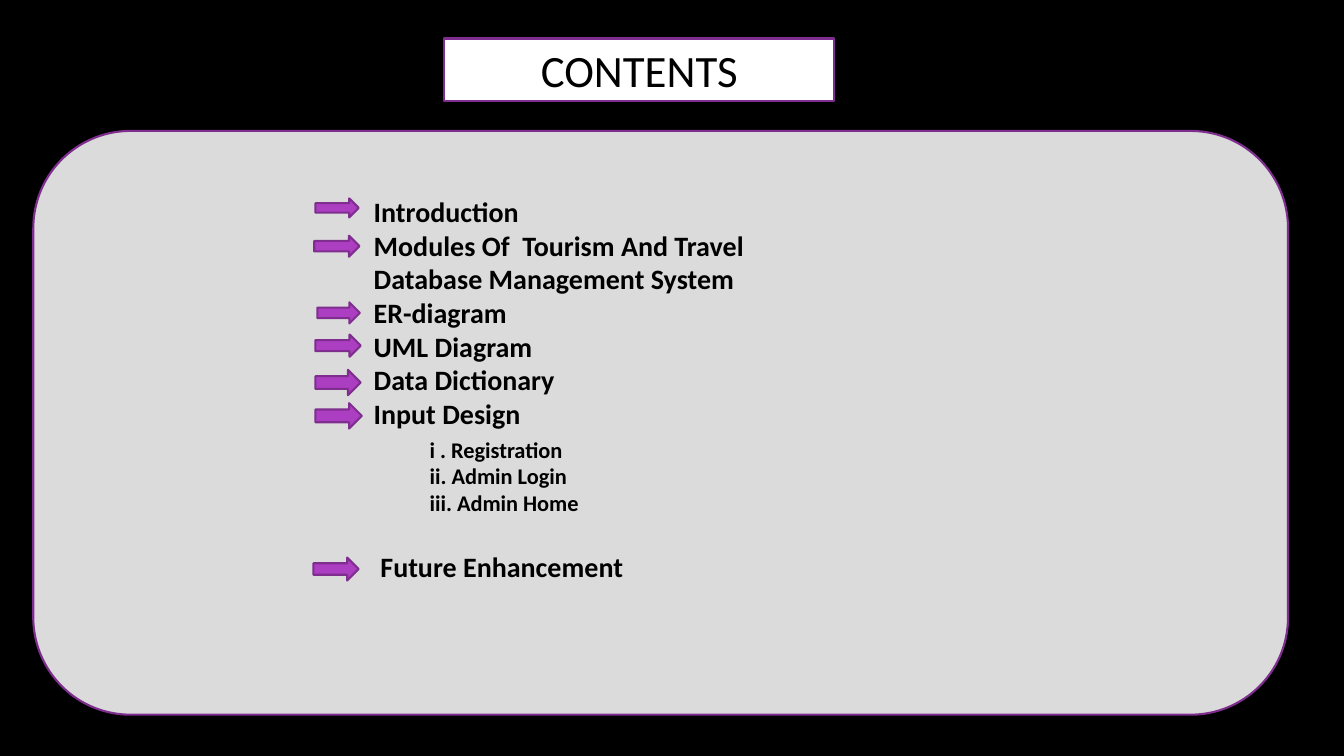
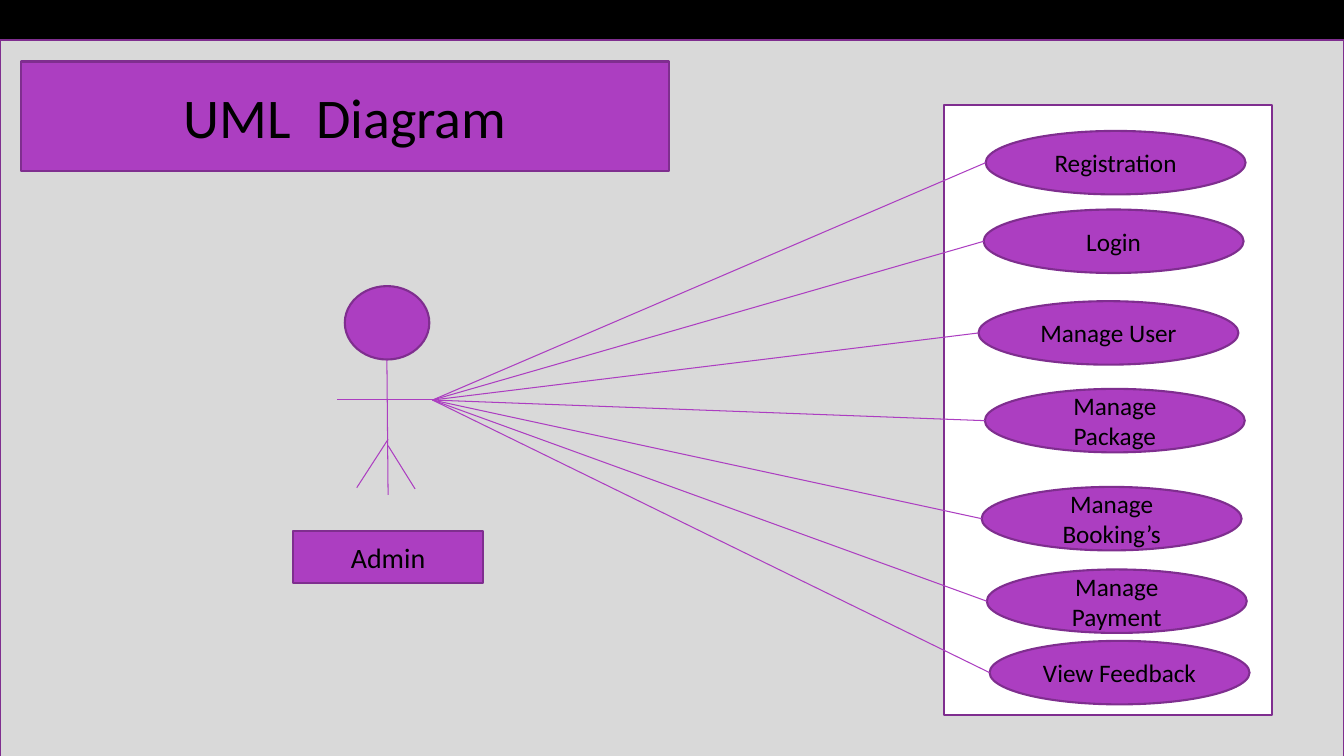
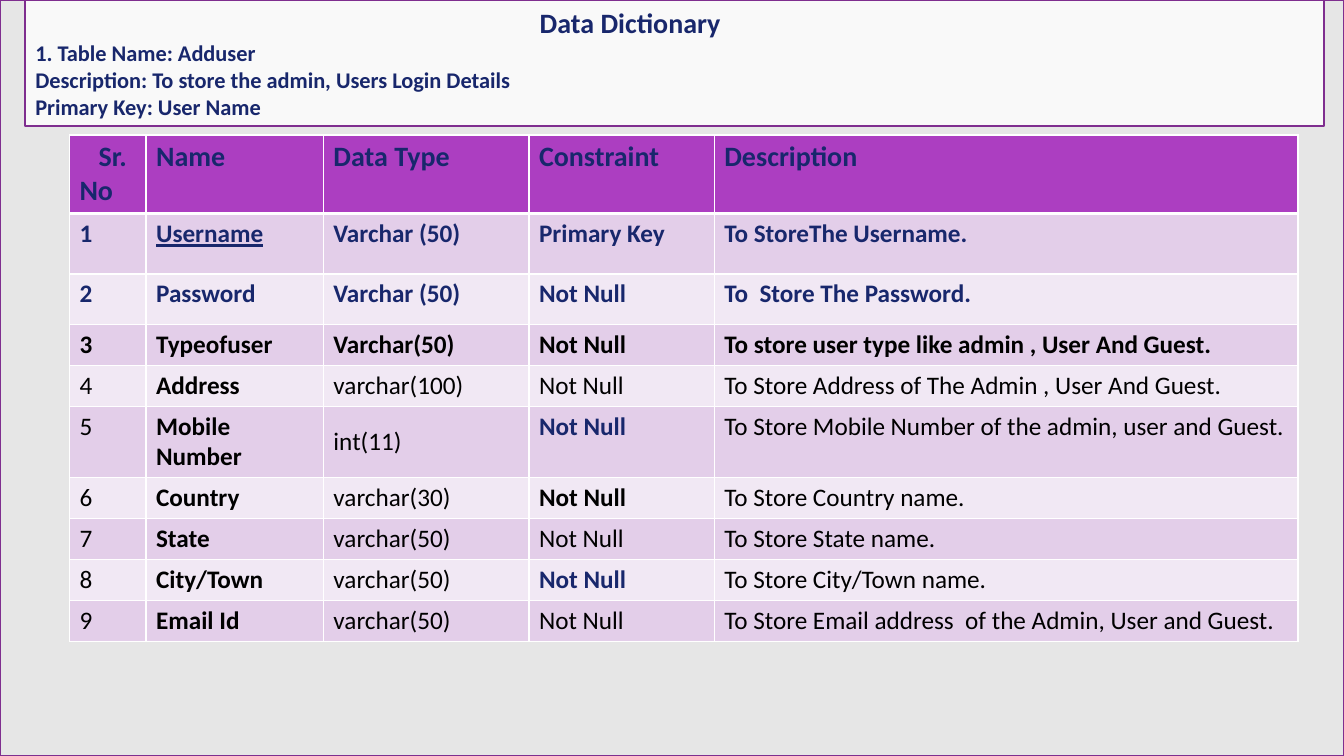
from dataclasses import dataclass

from lxml.etree import SubElement
from pptx import Presentation
from pptx.dml.color import RGBColor
from pptx.enum.shapes import MSO_CONNECTOR, MSO_SHAPE
from pptx.enum.text import MSO_ANCHOR, PP_ALIGN
from pptx.oxml.ns import qn
from pptx.util import Cm, Pt


@dataclass(frozen=True)
class Theme:
    font: str = "Calibri"
    black: str = "000000"
    white: str = "FFFFFF"
    purple: str = "AC3EC1"
    outline: str = "7F2E8F"
    navy: str = "18276C"
    bands: tuple = ("E3CEE9", "F1E8F4")
    title: int = 40
    heading: int = 32
    item: int = 20
    body: int = 18
    detail: int = 16


THEME = Theme()
SLIDE_WIDTH, SLIDE_HEIGHT = 33.87, 19.05

# Contents: text, size, indent (cm), space before (pt)
CONTENTS = [
    ("Introduction", THEME.item, 7.61, 0),
    ("Modules Of  Tourism And Travel", THEME.item, 7.61, 0),
    ("Database Management System", THEME.item, 7.61, 0),
    ("ER-diagram", THEME.item, 7.61, 0),
    ("UML Diagram", THEME.item, 7.61, 0),
    ("Data Dictionary", THEME.item, 7.61, 0),
    ("Input Design", THEME.item, 7.61, 0),
    ("i . Registration", THEME.detail, 9.02, 4),
    ("ii. Admin Login", THEME.detail, 9.02, 0),
    ("iii. Admin Home", THEME.detail, 9.02, 0),
    ("Future Enhancement", THEME.item, 7.78, 24),
]
# Arrow markers: left, top, width, height
ARROWS = [
    (7.95, 5, 1.09, 0.48),
    (7.92, 5.94, 1.14, 0.53),
    (8, 7.62, 1.07, 0.53),
    (7.95, 8.43, 1.14, 0.56),
    (7.95, 9.32, 1.14, 0.64),
    (7.95, 10.16, 1.17, 0.64),
    (7.9, 14.05, 1.14, 0.58),
]

# Use cases: text, left, top
USE_CASES = [
    ("Registration", 24.84, 3.3),
    ("Login", 24.79, 5.28),
    ("Manage User", 24.66, 7.59),
    ("Manage Package", 24.82, 9.8),
    ("Manage Booking’s", 24.74, 12.27),
    ("Manage Payment", 24.87, 14.35),
    ("View Feedback", 24.94, 16.15),
]
CASE_WIDTH, CASE_HEIGHT = 6.55, 1.6
HAND = (10.9, 10.08)
# Limbs of the actor: body, arms, two legs
LIMBS = [
    ((9.75, 9.07), (9.78, 12.47)),
    ((10.97, 10.06), (8.49, 10.06)),
    ((9.78, 11.07), (8.99, 12.29)),
    ((9.78, 11.23), (10.46, 12.32)),
]

# Data dictionary: text, size, indent (cm), space before (pt)
TABLE_INTRO = [
    ("Data Dictionary", THEME.item, 12.71, 0),
    ("1. Table Name: Adduser", THEME.detail, 0, 0),
    ("Description: To store the admin, Users Login Details", THEME.detail, 0, 0),
    ("Primary Key: User Name", THEME.detail, 0, 0),
]
# Cell styles: colour, bold, underline
CELL_STYLES = {
    "N": (THEME.navy, True, False),
    "U": (THEME.navy, True, True),
    "B": (THEME.black, True, False),
    "P": (THEME.black, False, False),
}
# Rows: height, one style letter per cell, texts
TABLE_ROWS = [
    (1.98, "NNNNN", ("Sr. No", "Name", "Data Type", "Constraint", "Description")),
    (1.52, "NUNNN", ("1", "Username", "Varchar (50)", "Primary Key",
                     "To StoreThe Username.")),
    (1.27, "NNNNN", ("2", "Password", "Varchar (50)", "Not Null",
                     "To  Store The Password.")),
    (1.03, "BBBBB", ("3", "Typeofuser", "Varchar(50)", "Not Null",
                     "To store user type like admin , User And Guest.")),
    (1.03, "PBPPP", ("4", "Address", "varchar(100)", "Not Null",
                     "To Store Address of The Admin , User And Guest.")),
    (1.8, "PBPNP", ("5", "Mobile Number", "int(11)", "Not Null",
                    "To Store Mobile Number of the admin, user and Guest.")),
    (1.03, "PBPBP", ("6", "Country", "varchar(30)", "Not Null",
                     "To Store Country name.")),
    (1.03, "PBPPP", ("7", "State", "varchar(50)", "Not Null",
                     "To Store State name.")),
    (1.03, "PBPNP", ("8", "City/Town", "varchar(50)", "Not Null",
                     "To Store City/Town name.")),
    (1.03, "PBPPP", ("9", "Email Id", "varchar(50)", "Not Null",
                     "To Store Email address  of the Admin, User and Guest.")),
]
COLUMN_WIDTHS = (1.93, 4.47, 5.18, 4.67, 14.71)
FIRST_CENTRED_ROW = 5


# Shared helpers
def add_slide(presentation):
    slide = presentation.slides.add_slide(presentation.slide_layouts[6])
    slide.background.fill.solid()
    slide.background.fill.fore_color.rgb = RGBColor.from_string(THEME.black)
    return slide


def add_run(paragraph, text, size, color=THEME.black, bold=False, underline=False):
    run = paragraph.add_run()
    run.text = text
    font = run.font
    font.name, font.size, font.bold = THEME.font, Pt(size), bold
    font.color.rgb = RGBColor.from_string(color)
    if underline:
        font.underline = True


def add_box(slide, kind, box, fill=THEME.purple, opacity=100):
    shape = slide.shapes.add_shape(kind, *(Cm(length) for length in box))
    shape.shadow.inherit = False
    shape.fill.solid()
    shape.fill.fore_color.rgb = RGBColor.from_string(fill)
    if opacity < 100:
        color = shape._element.spPr.find(qn("a:solidFill")).find(qn("a:srgbClr"))
        SubElement(color, qn("a:alpha"), val=str(opacity * 1000))
    shape.line.color.rgb = RGBColor.from_string(THEME.outline)
    shape.line.width = Pt(1.5)
    return shape


def add_label(slide, kind, box, text, size, fill=THEME.purple):
    shape = add_box(slide, kind, box, fill)
    shape.text_frame.vertical_anchor = MSO_ANCHOR.MIDDLE
    paragraph = shape.text_frame.paragraphs[0]
    paragraph.alignment = PP_ALIGN.CENTER
    add_run(paragraph, text, size)


def add_lines(text_frame, lines, color):
    for index, (text, size, indent, space) in enumerate(lines):
        paragraph = text_frame.add_paragraph() if index else text_frame.paragraphs[0]
        paragraph.alignment = PP_ALIGN.LEFT
        paragraph._p.get_or_add_pPr().set("marL", str(Cm(indent)))
        if space:
            paragraph.space_before = Pt(space)
        add_run(paragraph, text, size, color, bold=True)


def add_line(slide, start, end):
    points = (Cm(length) for length in (*start, *end))
    line = slide.shapes.add_connector(MSO_CONNECTOR.STRAIGHT, *points)
    line.line.color.rgb = RGBColor.from_string(THEME.purple)
    line.line.width = Pt(0.75)
    SubElement(line._element.spPr, qn("a:effectLst"))


def set_borders(cell, widths):
    properties = cell._tc.get_or_add_tcPr()
    for side, width in widths.items():
        border = SubElement(properties, qn(f"a:ln{side}"), w=str(Pt(width)))
        fill = SubElement(border, qn("a:solidFill"))
        SubElement(fill, qn("a:srgbClr"), val=THEME.white)


# Slides
def build_contents(presentation):
    slide = add_slide(presentation)
    add_label(slide, MSO_SHAPE.RECTANGLE, (11.2, 0.97, 9.83, 1.57), "CONTENTS",
              THEME.heading, THEME.white)
    panel = add_box(slide, MSO_SHAPE.ROUNDED_RECTANGLE, (0.84, 3.3, 31.62, 14.71),
                    THEME.white, opacity=86)
    panel.text_frame.vertical_anchor = MSO_ANCHOR.TOP
    panel.text_frame.margin_top = Cm(0.89)
    add_lines(panel.text_frame, CONTENTS, THEME.black)
    for box in ARROWS:
        add_box(slide, MSO_SHAPE.RIGHT_ARROW, box)


def build_uml_diagram(presentation):
    slide = add_slide(presentation)
    add_box(slide, MSO_SHAPE.RECTANGLE, (0, 1.02, SLIDE_WIDTH, 18.06),
            THEME.white, opacity=85)
    add_box(slide, MSO_SHAPE.RECTANGLE, (23.8, 2.64, 8.26, 15.39), THEME.white)
    for text, left, top in USE_CASES:
        add_label(slide, MSO_SHAPE.OVAL, (left, top, CASE_WIDTH, CASE_HEIGHT),
                  text, THEME.body)
    # Actor and its links
    add_box(slide, MSO_SHAPE.OVAL, (8.69, 7.21, 2.13, 1.85))
    for start, end in LIMBS:
        add_line(slide, start, end)
    for _, left, top in USE_CASES:
        add_line(slide, (left, top + CASE_HEIGHT / 2), HAND)
    add_label(slide, MSO_SHAPE.RECTANGLE, (7.39, 13.39, 4.78, 1.3), "Admin",
              THEME.item)
    add_label(slide, MSO_SHAPE.RECTANGLE, (0.53, 1.55, 16.33, 2.77),
              "UML  Diagram", THEME.title)


def build_data_dictionary(presentation):
    slide = add_slide(presentation)
    add_box(slide, MSO_SHAPE.RECTANGLE, (0, 0, SLIDE_WIDTH, SLIDE_HEIGHT),
            THEME.white, opacity=90)
    table = slide.shapes.add_table(
        len(TABLE_ROWS), len(COLUMN_WIDTHS), Cm(1.75), Cm(3.4),
        Cm(sum(COLUMN_WIDTHS)), Cm(sum(row[0] for row in TABLE_ROWS))).table
    for column, width in zip(table.columns, COLUMN_WIDTHS):
        column.width = Cm(width)
    for row_index, (height, styles, texts) in enumerate(TABLE_ROWS):
        table.rows[row_index].height = Cm(height)
        is_header = row_index == 0
        fill = THEME.purple if is_header else THEME.bands[(row_index - 1) % 2]
        size = THEME.item if is_header else THEME.body
        borders = {"L": 1, "R": 1, "T": 3 if row_index == 1 else 1,
                   "B": 3 if is_header else 1}
        for column_index, (style, text) in enumerate(zip(styles, texts)):
            cell = table.cell(row_index, column_index)
            set_borders(cell, borders)
            cell.fill.solid()
            cell.fill.fore_color.rgb = RGBColor.from_string(fill)
            if row_index >= FIRST_CENTRED_ROW and column_index in (1, 2):
                cell.vertical_anchor = MSO_ANCHOR.MIDDLE
            add_run(cell.text_frame.paragraphs[0], text, size, *CELL_STYLES[style])
    first_header = table.cell(0, 0).text_frame.paragraphs[0]
    first_header._p.get_or_add_pPr().set("indent", str(Cm(0.48)))
    # Heading block
    intro = add_box(slide, MSO_SHAPE.RECTANGLE, (0.64, 0, 32.72, 3.18),
                    THEME.white, opacity=77)
    intro.text_frame.vertical_anchor = MSO_ANCHOR.MIDDLE
    add_lines(intro.text_frame, TABLE_INTRO, THEME.navy)


def main():
    presentation = Presentation()
    presentation.slide_width = Cm(SLIDE_WIDTH)
    presentation.slide_height = Cm(SLIDE_HEIGHT)
    build_contents(presentation)
    build_uml_diagram(presentation)
    build_data_dictionary(presentation)
    presentation.save("out.pptx")


if __name__ == "__main__":
    main()
